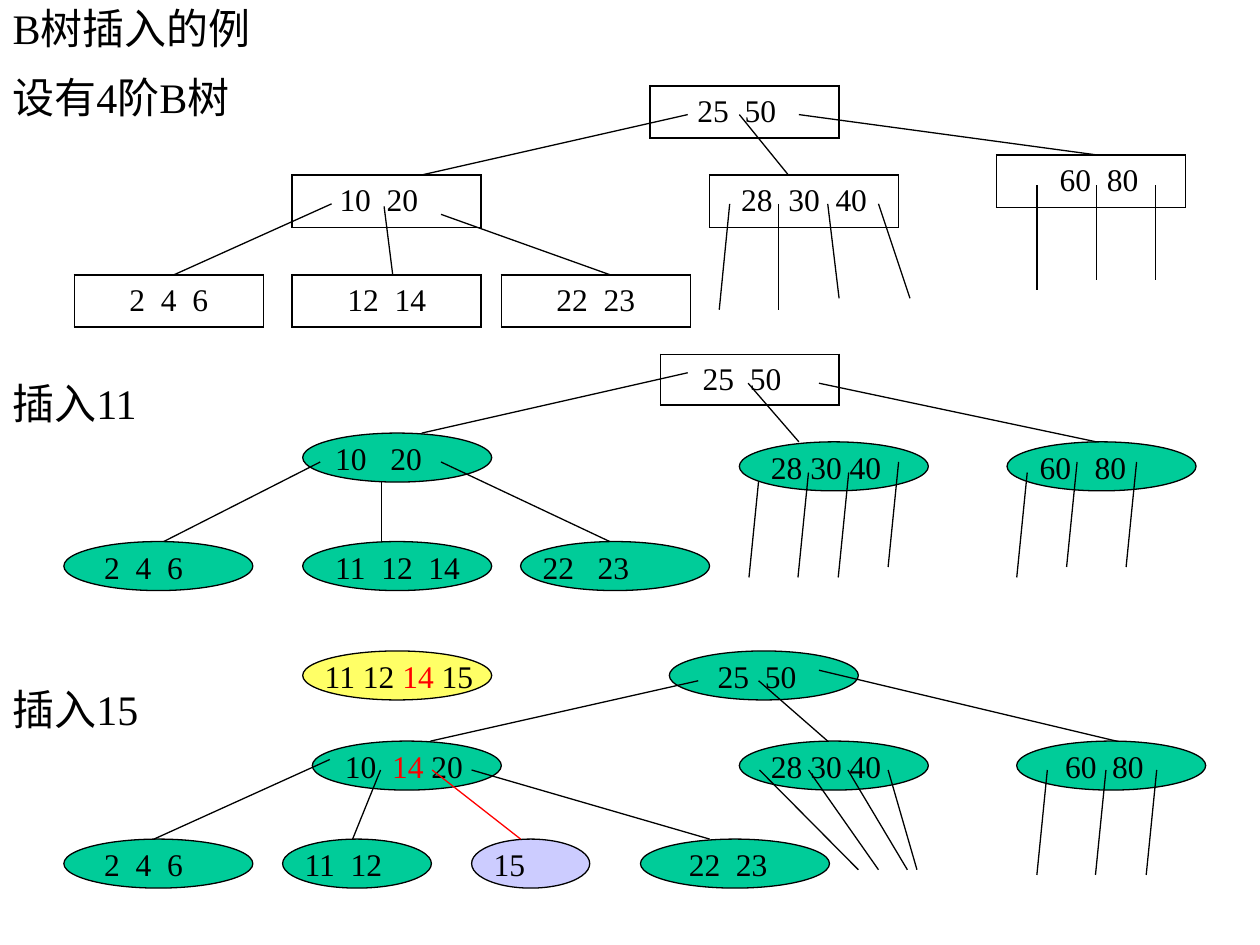
from lxml.etree import SubElement
from pptx import Presentation
from pptx.dml.color import RGBColor
from pptx.enum.shapes import MSO_CONNECTOR, MSO_SHAPE
from pptx.enum.text import MSO_ANCHOR, MSO_AUTO_SIZE, PP_ALIGN
from pptx.oxml import parse_xml
from pptx.oxml.ns import nsdecls, qn
from pptx.util import Pt

FONT = "Times New Roman"
BLACK, RED, GREEN, YELLOW, LILAC = "000000", "FF0000", "00CC99", "FFFF66", "CCCCFF"

prs = Presentation()
prs.slide_width, prs.slide_height = Pt(720), Pt(540)
s = prs.slides.add_slide(prs.slide_layouts[5])


def style(p, size, color=BLACK):
    """Format every run; pieces between bars become red runs."""
    pieces = p.text.split("|")
    p.text = ""
    for i, piece in enumerate(pieces):
        r = p.add_run()
        r.text = piece
        r.font.name, r.font.size, r.font.bold = FONT, Pt(size), False
        r.font.color.rgb = RGBColor.from_string(RED if i % 2 else color)


def draw_lines(lines, color=BLACK):
    for ends in lines:
        c = s.shapes.add_connector(MSO_CONNECTOR.STRAIGHT, *[Pt(v) for v in ends])
        c.line.color.rgb = RGBColor.from_string(color)
        c.line.width = Pt(0.75)
        SubElement(c._element.spPr, qn("a:effectLst"))


# Title
title = s.shapes.title
title.left, title.top, title.width, title.height = Pt(0), Pt(0), Pt(612), Pt(32)
tf = title.text_frame
tf.text = "B树插入的例"
tf.auto_size = MSO_AUTO_SIZE.NONE
tf.vertical_anchor = MSO_ANCHOR.MIDDLE
tf.paragraphs[0].alignment = PP_ALIGN.LEFT
style(tf.paragraphs[0], 24)

# Step headings, spaced to sit beside their trees
tf = s.shapes.add_textbox(Pt(0), Pt(37.5), Pt(700), Pt(481.5)).text_frame
tf.word_wrap = True
tf.text = "设有4阶B树\n插入11\n插入15"
for i, p in enumerate(tf.paragraphs):
    if i:
        p.space_before = Pt(146)
    style(p, 24)

# Boxed nodes: text, left, top, width, height, extra left and right margin
boxes = [
    ("25  50", 371.5, 49, 108, 30, 0, 9),
    ("10  20", 167, 100, 108, 30, 0, 9),
    ("28  30  40", 405.5, 100, 108, 30, 0, 0),
    ("60  80", 569.5, 88.5, 108, 30, 9, 0),
    ("2  4  6", 42.5, 157, 108, 30, 0, 0),
    ("12  14", 167, 157, 108, 30, 0, 0),
    ("22  23", 286.5, 157, 108, 30, 0, 0),
    ("25  50", 377.5, 202.5, 102, 29, 0, 9),
]
for text, x, y, w, h, pad_left, pad_right in boxes:
    table = s.shapes.add_table(1, 1, Pt(x), Pt(y), Pt(w), Pt(h)).table
    table.first_row = table.horz_banding = False
    cell = table.cell(0, 0)
    cell.text = text
    cell.vertical_anchor = MSO_ANCHOR.MIDDLE
    cell.margin_left, cell.margin_right = Pt(7.2 + pad_left), Pt(7.2 + pad_right)
    p = cell.text_frame.paragraphs[0]
    p.alignment = PP_ALIGN.CENTER
    style(p, 18)
    tcPr = cell._tc.get_or_add_tcPr()
    for side in ("lnL", "lnR", "lnT", "lnB"):
        tcPr.append(parse_xml(
            f'<a:{side} {nsdecls("a")} w="{Pt(1.08)}"><a:solidFill>'
            f'<a:srgbClr val="{BLACK}"/></a:solidFill></a:{side}>'))
    cell.fill.background()

# Branches of the first tree
draw_lines([
    (393, 65.5, 241, 100), (422.5, 65.5, 450.5, 100), (456.5, 65.5, 626.5, 88.5),
    (189.5, 116.5, 99.5, 157), (219.5, 118, 224.5, 157.5), (252, 122.5, 348.5, 157),
    (417, 116.5, 411, 177), (445, 116.5, 445, 177),
    (473, 116.5, 479.5, 170.5), (502, 116.5, 520, 170.5),
    (592.5, 106, 592.5, 165.5), (626.5, 106, 626.5, 160), (660.5, 106, 660.5, 160),
])

# Branches that start behind the second tree's ovals
draw_lines([(218, 270, 218, 309.5), (434, 270, 428, 330)])

# Oval nodes: text, left, top, width, label offset, fill
ovals = [
    ("10   20", 173, 247.5, 108, 11.5, GREEN),
    ("28 30 40", 422.5, 252.5, 108, 11, GREEN),
    ("60   80", 575.5, 252.5, 108, 11.5, GREEN),
    ("2  4  6", 36.5, 309.5, 108, 16, GREEN),
    ("11  12  14", 173, 309.5, 108, 11.5, GREEN),
    ("22   23", 297.5, 309.5, 108, 5.5, GREEN),
    ("11 12 |14| 15", 173, 372, 108, 5.5, YELLOW),
    ("25  50", 382.5, 372, 108, 20.5, GREEN),
    ("10  |14| 20", 178.5, 423.5, 108, 11.5, GREEN),
    ("28 30 40", 422.5, 423.5, 108, 11, GREEN),
    ("60  80", 581, 423.5, 108, 20.5, GREEN),
    ("2  4  6", 36.5, 479.5, 108, 16, GREEN),
    ("11  12", 161.5, 479.5, 85, 5.5, GREEN),
    ("15", 269.5, 479.5, 67.5, 5.5, LILAC),
    ("22  23", 366, 479.5, 108, 20.5, GREEN),
]
for text, x, y, w, offset, fill in ovals:
    sp = s.shapes.add_shape(MSO_SHAPE.OVAL, Pt(x), Pt(y), Pt(w), Pt(28))
    sp.shadow.inherit = False
    sp.fill.solid()
    sp.fill.fore_color.rgb = RGBColor.from_string(fill)
    sp.line.color.rgb = RGBColor.from_string(BLACK)
    sp.line.width = Pt(0.75)
    label = s.shapes.add_textbox(Pt(x + offset), Pt(y), Pt(w - offset), Pt(29))
    tf = label.text_frame
    tf.word_wrap = True
    tf.text = text
    style(tf.paragraphs[0], 18)

# Branches of the second tree
draw_lines([
    (393, 213, 241, 247.5), (427.5, 219, 456.5, 252.5), (468, 219, 626.5, 252.5),
    (183, 264, 93.5, 309.5), (252, 264, 348.5, 309.5),
])

# Branches of the third tree, with the new one in red
draw_lines([
    (399, 389, 246, 423.5), (433.5, 389, 473, 423.5), (468, 383, 638, 423.5),
    (188.5, 434, 88, 479.5), (217.5, 440, 201.5, 479.5), (269.5, 440, 405.5, 479.5),
    (434, 440, 490.5, 497), (462, 440, 502, 497),
    (484.5, 440, 518.5, 497), (507.5, 440, 524, 497),
])
draw_lines([(247, 440, 297.5, 479.5)], RED)

# Parallel open branches under the right-hand nodes
starts = [
    (462, 270), (485, 270), (513.5, 264), (587, 270), (615.5, 264), (649.5, 264),
    (598.5, 440), (632, 440), (661, 440),
]
draw_lines([(x, y, x - 6, y + 60) for x, y in starts])

prs.save("out.pptx")
